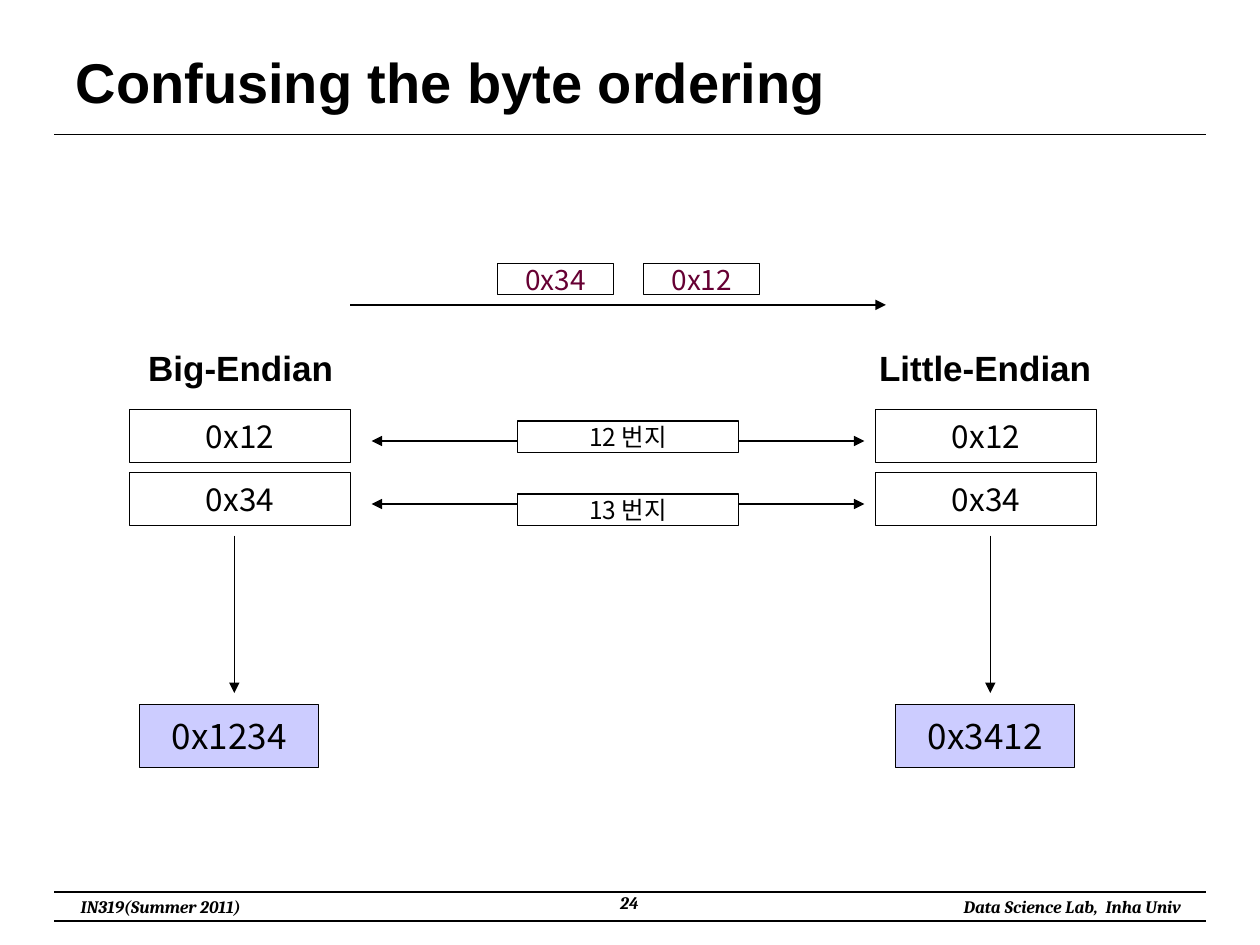
from lxml.etree import SubElement
from pptx import Presentation
from pptx.dml.color import RGBColor
from pptx.enum.shapes import MSO_CONNECTOR, MSO_SHAPE
from pptx.enum.text import MSO_ANCHOR as Anchor, MSO_AUTO_SIZE as AutoSize, PP_ALIGN as Align
from pptx.oxml.ns import qn
from pptx.util import Inches, Pt

BLACK, WHITE, LAVENDER, MAROON = "000000", "FFFFFF", "CCCCFF", "660033"
HEADING_FONT, FOOTER_FONT, VALUE_FONT = "Arial", "Cambria", "Noto Sans CJK KR"


def color(hex_value):
    """Turn a hex string into a colour."""
    return RGBColor.from_string(hex_value)


def write(frame, text, size, font_name, align=Align.CENTER, anchor=Anchor.MIDDLE,
          ink=BLACK, bold=False, italic=False, wrap=False):
    """Put one formatted run into a text frame."""
    frame.auto_size = AutoSize.NONE
    frame.word_wrap = wrap
    frame.vertical_anchor = anchor
    paragraph = frame.paragraphs[0]
    paragraph.alignment = align
    run = paragraph.add_run()
    run.text = text
    font = run.font
    font.size, font.name, font.bold, font.italic = Pt(size), font_name, bold, italic
    font.color.rgb = color(ink)
    SubElement(run._r.get_or_add_rPr(), qn("a:ea"), typeface=font_name)


def add_title(slide, text):
    """Fill and place the title placeholder."""
    title = slide.shapes.title
    title.left, title.top = Inches(0.5), Inches(0.3)
    title.width, title.height = Inches(9), Inches(0.69)
    write(title.text_frame, text, 32, HEADING_FONT, Align.LEFT, bold=True, wrap=True)


def add_label(slide, text, left, top, width, height, size, font_name, **style):
    """Add a bold text label."""
    label = slide.shapes.add_textbox(Inches(left), Inches(top), Inches(width), Inches(height))
    write(label.text_frame, text, size, font_name, bold=True, **style)


def add_cell(slide, text, left, top, width, height, size, fill=WHITE, ink=BLACK):
    """Add an outlined memory cell holding a value."""
    cell = slide.shapes.add_shape(MSO_SHAPE.RECTANGLE, Inches(left), Inches(top),
                                  Inches(width), Inches(height))
    cell.shadow.inherit = False
    cell.fill.solid()
    cell.fill.fore_color.rgb = color(fill)
    cell.line.color.rgb = color(BLACK)
    cell.line.width = Pt(0.75)
    write(cell.text_frame, text, size, VALUE_FONT, ink=ink)


def add_line(slide, x1, y1, x2, y2, *arrow_ends):
    """Add a thin line with arrowheads at the named ends."""
    line = slide.shapes.add_connector(MSO_CONNECTOR.STRAIGHT, Inches(x1), Inches(y1),
                                      Inches(x2), Inches(y2))
    line.line.color.rgb = color(BLACK)
    line.line.width = Pt(0.75)
    for end in arrow_ends:
        SubElement(line.line._get_or_add_ln(), qn(f"a:{end}"), type="triangle")
    SubElement(line._element.spPr, qn("a:effectLst"))


def add_footer(slide):
    """Add the course, page number and lab between the footer rules."""
    for top in (7.08, 7.31):
        add_line(slide, 0.43, top, 9.57, top)
    for text, left, top, width, height, align, wrap in (
        ("IN319(Summer 2011)", 0.41, 7.06, 1.73, 0.27, Align.CENTER, False),
        ("Data Science Lab,  Inha Univ", 7.16, 7.06, 2.31, 0.27, Align.RIGHT, False),
        ("24", 3.83, 7.03, 2.33, 0.31, Align.CENTER, True),
    ):
        add_label(slide, text, left, top, width, height, 10, FOOTER_FONT,
                  align=align, anchor=Anchor.TOP, italic=True, wrap=wrap)


def add_machine(slide, name, label_left, cell_left, result_left, result):
    """Add one machine: its name, two bytes and the value it reads."""
    add_label(slide, name, label_left, 2.75, 1.92, 0.33, 20, HEADING_FONT)
    for row, byte in enumerate(("0x12", "0x34")):
        add_cell(slide, byte, cell_left, 3.25 + 0.5 * row, 1.75, 0.42, 18)
    arrow_x = result_left + 0.75
    add_line(slide, arrow_x, 4.25, arrow_x, 5.5, "tailEnd")
    add_cell(slide, result, result_left, 5.59, 1.42, 0.5, 20, fill=LAVENDER)


def add_addresses(slide):
    """Add the addresses linking the bytes of both machines."""
    for address, arrow_y, top in (("12 번지", 3.5, 3.34), ("13 번지", 4, 3.92)):
        add_line(slide, 2.95, arrow_y, 6.86, arrow_y, "headEnd", "tailEnd")
        add_cell(slide, address, 4.11, top, 1.75, 0.25, 14)


def add_transfer(slide):
    """Add the bytes travelling from one machine to the other."""
    add_line(slide, 2.78, 2.42, 7.03, 2.42, "tailEnd")
    for byte, left in (("0x12", 5.11), ("0x34", 3.95)):
        add_cell(slide, byte, left, 2.09, 0.92, 0.25, 16, ink=MAROON)


def main():
    """Build the byte ordering slide."""
    deck = Presentation()
    deck.slide_width, deck.slide_height = Inches(10), Inches(7.5)
    slide = deck.slides.add_slide(deck.slide_layouts[5])
    add_title(slide, "Confusing the byte ordering")
    add_line(slide, 0.43, 1.07, 9.57, 1.07)
    add_footer(slide)
    add_machine(slide, "Big-Endian", 0.95, 1.03, 1.11, "0x1234")
    add_machine(slide, "Little-Endian", 6.86, 6.95, 7.11, "0x3412")
    add_addresses(slide)
    add_transfer(slide)
    deck.save("out.pptx")


if __name__ == "__main__":
    main()
